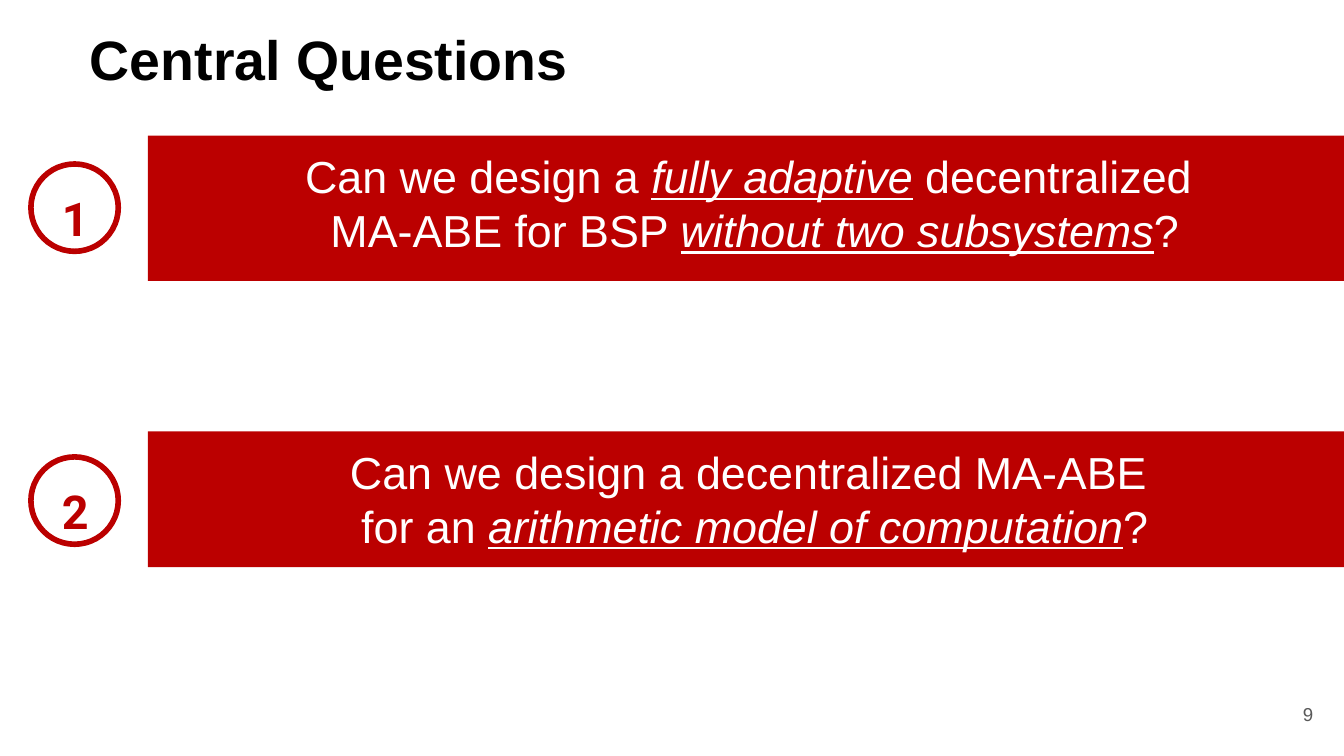
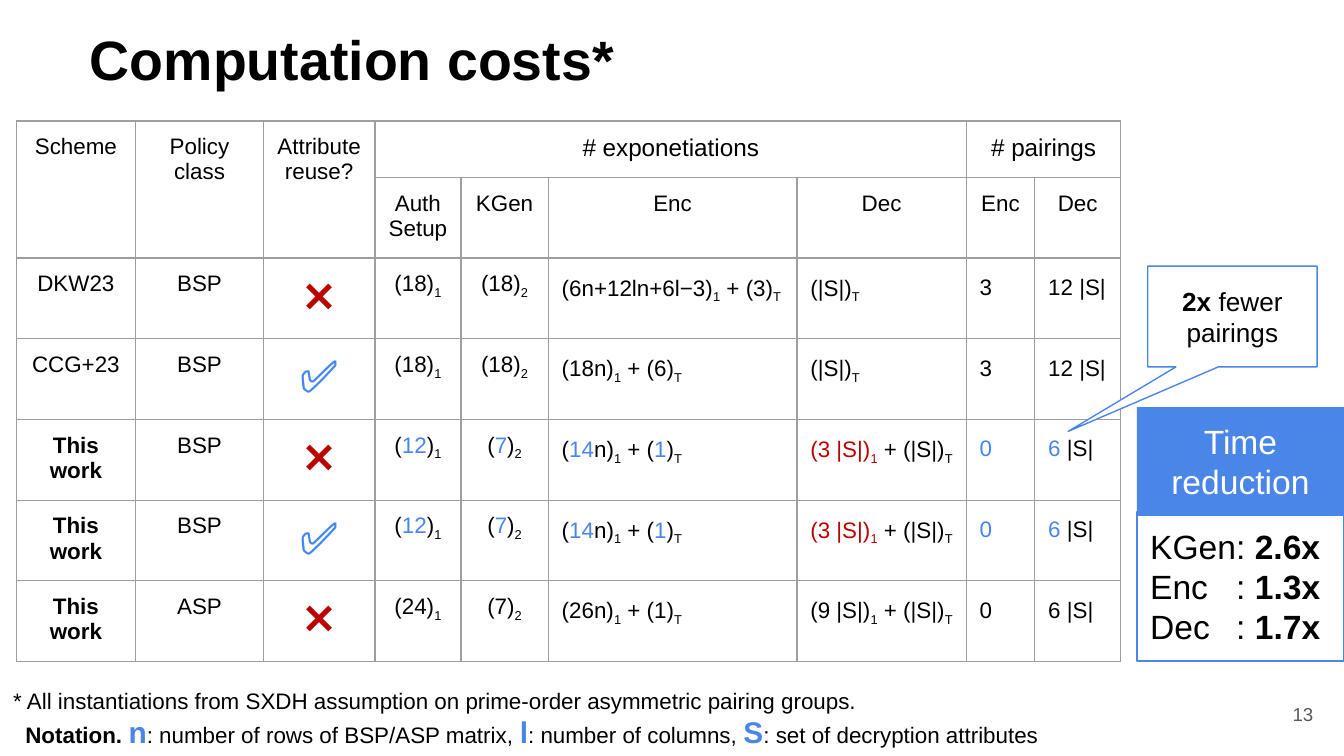
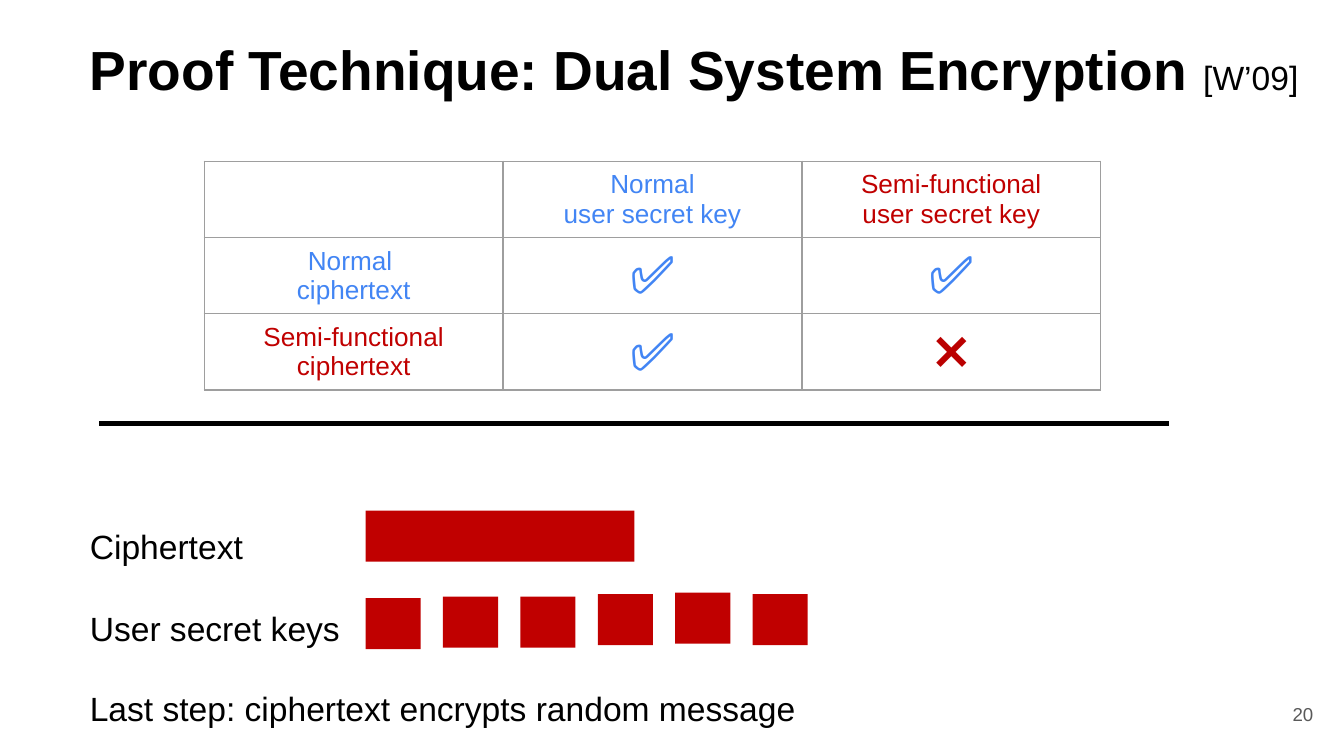
from lxml import etree
from pptx import Presentation
from pptx.dml.color import RGBColor
from pptx.enum.shapes import MSO_CONNECTOR, MSO_SHAPE
from pptx.enum.text import MSO_ANCHOR, PP_ALIGN
from pptx.oxml.ns import qn
from pptx.util import Inches, Pt

RECTANGLE, OVAL = MSO_SHAPE.RECTANGLE, MSO_SHAPE.OVAL
CALLOUT = MSO_SHAPE.RECTANGULAR_CALLOUT
STRAIGHT = MSO_CONNECTOR.STRAIGHT
TOP, MIDDLE = MSO_ANCHOR.TOP, MSO_ANCHOR.MIDDLE
LEFT, CENTER, RIGHT = PP_ALIGN.LEFT, PP_ALIGN.CENTER, PP_ALIGN.RIGHT

BLACK, WHITE, GREY, BORDER = "000000", "FFFFFF", "595959", "9E9E9E"
RED, BRICK = "BB0000", "C00000"
BLUE, SKY = "4A86E8", "4285F4"

BOLD, PLAIN = {"bold": True}, {"bold": False}
STRESS = {"italic": True, "underline": True}
CENTERED = {"alignment": CENTER}
LOOSE = {"line_spacing": 1.15}
MARGIN = Inches(0.1)


def write(frame, lines, font, layout):
    """Fill a text frame; a line is a list of strings or (string, font changes)."""
    for number, line in enumerate(lines):
        para = frame.add_paragraph() if number else frame.paragraphs[0]
        for name, value in layout.items():
            setattr(para, name, value)
        for piece in line:
            words, changes = (piece, {}) if isinstance(piece, str) else piece
            look = {"name": "Arial", "color": BLACK, **font, **changes}
            for part_number, part in enumerate(words.split("\n")):
                if part_number:
                    para.add_line_break()
                span = para.add_run()
                span.text = part
                for name, value in look.items():
                    if name == "color":
                        span.font.color.rgb = RGBColor.from_string(value)
                    elif name == "baseline":
                        span.font._element.set("baseline", str(value))
                    else:
                        setattr(span.font, name, Pt(value) if name == "size" else value)


def add_box(page, place, lines=(), font={}, layout={}, kind=None,
            fill=None, line=None, width=0.75, anchor=TOP):
    """Add a text box, or a preset shape if kind is given."""
    place = [Inches(length) for length in place]
    if kind is None:
        box = page.shapes.add_textbox(*place)
    else:
        box = page.shapes.add_shape(kind, *place)
        box.shadow.inherit = False
        if fill:
            box.fill.solid()
            box.fill.fore_color.rgb = RGBColor.from_string(fill)
        else:
            box.fill.background()
        if line:
            box.line.color.rgb = RGBColor.from_string(line)
            box.line.width = Pt(width)
        else:
            box.line.fill.background()
    frame = box.text_frame
    frame.word_wrap = True
    frame.vertical_anchor = anchor
    for side in ("left", "top", "right", "bottom"):
        setattr(frame, f"margin_{side}", MARGIN)
    write(frame, lines, font, layout)
    return box


deck = Presentation()
deck.slide_width = Inches(10)
deck.slide_height = deck.slide_width * 9 // 16

# Titles and page numbers
headings = [
    ("9", ["Central Questions"], 0.6, 29.7, {}),
    ("13", ["Computation costs*"], 0.6, 29.7, {}),
    ("20", ["Proof Technique: Dual System Encryption ",
            ("[W’09]", {"size": 18, **PLAIN})],
     0.94, 29.5, {**LOOSE, "space_after": Pt(12)}),
]
for number, title, height, size, layout in headings:
    page = deck.slides.add_slide(deck.slide_layouts[6])
    add_box(page, (9.27, 5.1, 0.6, 0.43), [[number]], {"size": 10, "color": GREY},
            {"alignment": RIGHT}, anchor=MIDDLE)
    add_box(page, (0.57, 0.09, 9.43, height), [title], {"size": size, **BOLD}, layout)
questions_page, costs_page, proof_page = deck.slides

# Central questions
questions = [
    ("1", 1.01, 1.08, 1.22,
     [["Can we design a ", ("fully adaptive", STRESS), " decentralized "],
      ["MA-ABE for BSP ", ("without two subsystems", STRESS), "?"]]),
    ("2", 3.21, 1.01, 3.4,
     [["Can we design a decentralized MA-ABE "],
      ["for an ", ("arithmetic model of computation", STRESS), "?"]]),
]
for number, band_top, band_height, ring_top, lines in questions:
    add_box(questions_page, (1.1, band_top, 9.03, band_height), lines,
            {"size": 24, "color": WHITE}, CENTERED, RECTANGLE, fill=RED)
    add_box(questions_page, (0.23, ring_top, 0.65, 0.65), kind=OVAL, line=RED, width=3)
    add_box(questions_page, (0.32, ring_top + 0.03, 0.48, 0.62), [[number]],
            {"name": "Roboto", "size": 25, "color": RED, **BOLD},
            {**CENTERED, **LOOSE, "space_after": Pt(16)})

# Computation costs
sub_1, sub_2, sub_t = [(index, {"baseline": -25000}) for index in "12T"]
cross = ("❌", {"size": 24, "color": RED, **BOLD})
check = ("✅", {"size": 24, "color": SKY, **BOLD})
this_work = ("This work", BOLD)
better = {"color": BLUE}
worse = {"color": RED}
improved = [
    ["(", ("12", better), ")", sub_1],
    ["(", ("7", better), ")", sub_2],
    ["(", ("14", better), "n)", sub_1, " + (", ("1", better), ")", sub_t],
    [("(3 |S|)", worse), ("1", {**worse, "baseline": -25000}), " + (|S|)", sub_t],
    [("0", {"color": SKY})],
    [("6", better), " |S|"],
]
earlier = [["(18)", sub_1], ["(18)", sub_2]]
earlier_end = [["(|S|)", sub_t], ["3"], ["12 |S|"]]
big = {"size": 13}
cost_rows = [
    [["Scheme"], ["Policy class"], ["Attribute reuse?"], [("# exponetiations", big)],
     [], [], [], [("# pairings", big)], []],
    [[], [], [], ["Auth\nSetup"], ["KGen"], ["Enc"], ["Dec"], ["Enc"], ["Dec"]],
    [["DKW23"], ["BSP"], [cross], *earlier,
     ["(6n+12ln+6l−3)", sub_1, " + (3)", sub_t], *earlier_end],
    [["CCG+23"], ["BSP"], [check], *earlier,
     ["(18n)", sub_1, " + (6)", sub_t], *earlier_end],
    [[this_work], ["BSP"], [cross], *improved],
    [[this_work], ["BSP"], [check], *improved],
    [[this_work], ["ASP"], [cross], ["(24)", sub_1], ["(7)", sub_2],
     ["(26n)", sub_1, " + (1)", sub_t], ["(9 |S|)", sub_1, " + (|S|)", sub_t],
     ["0"], ["6 |S|"]],
]
costs_frame = costs_page.shapes.add_table(
    7, 9, Inches(0.12), Inches(0.9), Inches(8.22), Inches(4.14))
costs = costs_frame.table
for first, last in [((0, 0), (1, 0)), ((0, 1), (1, 1)), ((0, 2), (1, 2)),
                    ((0, 3), (0, 6)), ((0, 7), (0, 8))]:
    costs.cell(*first).merge(costs.cell(*last))
for r, row in enumerate(cost_rows):
    for c, pieces in enumerate(row):
        write(costs.cell(r, c).text_frame, [pieces], {"size": 12},
              LOOSE if r > 1 and c > 4 else CENTERED)

savings = add_box(
    costs_page, (8.46, 3.81, 1.54, 1.11),
    [["KGen: ", ("2.6x", BOLD)], ["Enc\t: ", ("1.3x", BOLD)], ["Dec\t: ", ("1.7x", BOLD)]],
    {"size": 18}, {"alignment": LEFT}, RECTANGLE, line=BLUE)
for para in savings.text_frame.paragraphs[1:]:
    tabs = etree.SubElement(para._p.get_or_add_pPr(), qn("a:tabLst"))
    etree.SubElement(tabs, qn("a:tab"), pos=str(Inches(0.64)), algn="l")
add_box(costs_page, (8.46, 3.03, 1.54, 0.81), [["Time reduction"]],
        {"size": 18, "color": WHITE}, CENTERED, RECTANGLE, fill=BLUE)
callout = add_box(costs_page, (8.54, 1.98, 1.26, 0.75), [[("2x", BOLD), " fewer pairings"]],
                  {"size": 14}, CENTERED, CALLOUT, fill=WHITE, line=BLUE, anchor=MIDDLE)
callout.adjustments[0], callout.adjustments[1] = -0.97, 1.14

symbol = {"size": 16, "color": BLUE, **BOLD}
footnote = add_box(costs_page, (0, 5.01, 8.95, 0.67), [
    ["* All instantiations from SXDH assumption on prime-order asymmetric pairing groups."],
    [("Notation. ", BOLD), ("n", symbol), ": number of rows of BSP/ASP matrix, ",
     ("l", symbol), ": number of columns, ", ("S", symbol), ": set of decryption attributes"],
], {"size": 12})
footnote.text_frame.paragraphs[1]._p.get_or_add_pPr().set("marL", str(Inches(0.09)))

# Dual system encryption
for top, label, width in [(4.87, "Last step: ciphertext encrypts random message", 9.43),
                          (4.27, "User secret keys", 2.3), (3.66, "Ciphertext", 1.39)]:
    add_box(proof_page, (0.57, top, width, 0.66), [[label]], {"size": 18},
            {"line_spacing": 1.5})

divider = proof_page.shapes.add_connector(
    STRAIGHT, Inches(0.74), Inches(3.15), Inches(8.7), Inches(3.15))
divider.line.color.rgb = RGBColor.from_string(BLACK)
divider.line.width = Pt(3)
etree.SubElement(divider._element.spPr, qn("a:effectLst"))

add_box(proof_page, (2.72, 3.8, 2, 0.38), kind=RECTANGLE, fill=BRICK)
for index, top in enumerate([4.45, 4.44, 4.44, 4.42, 4.41, 4.42]):
    add_box(proof_page, (2.72 + 2.88 / 5 * index, top, 0.41, 0.38),
            kind=RECTANGLE, fill=BRICK)

normal, semi = {"color": SKY}, {"color": BRICK}
works = [[("✅", {"size": 28, "color": SKY, **BOLD})]]
fails = [[("❌", {"size": 28, "color": RED, **BOLD})]]
key_rows = [
    [[], [[("Normal", normal)], [("user secret key", normal)]],
     [[("Semi-functional", semi)], [("user secret key", semi)]]],
    [[[("Normal ", normal)], [("ciphertext", normal)]], works, works],
    [[[("Semi-functional ciphertext", semi)]], works, fails],
]
keys_frame = proof_page.shapes.add_table(
    3, 3, Inches(1.52), Inches(1.2), Inches(6.67), Inches(1.7))
keys = keys_frame.table
for r, row in enumerate(key_rows):
    for c, lines in enumerate(row):
        cell = keys.cell(r, c)
        cell.vertical_anchor = MIDDLE
        write(cell.text_frame, lines, {"size": 14}, CENTERED)

# Shared table style; rows grow to fit their text
cost_widths = [0.89, 0.95, 0.83, 0.64, 0.65, 1.85, 1.26, 0.51, 0.64]
for holder, widths, row_height, total_height, pad in [
        (costs_frame, cost_widths, 0.42, 4.14, 0.1),
        (keys_frame, [6.67 / 3] * 3, 0.41, 1.7, 0.05)]:
    table = holder.table
    table.first_row = table.horz_banding = False
    for column, width in zip(table.columns, widths):
        column.width = Inches(width)
    for row in table.rows:
        row.height = Inches(row_height)
    holder.height = Inches(total_height)
    for cell in table.iter_cells():
        cell.margin_left = cell.margin_right = MARGIN
        cell.margin_top = cell.margin_bottom = Inches(pad)
        properties = cell._tc.get_or_add_tcPr()
        for side in ("lnL", "lnR", "lnT", "lnB"):
            edge = etree.SubElement(properties, qn(f"a:{side}"), w=str(Pt(0.75)))
            paint = etree.SubElement(edge, qn("a:solidFill"))
            etree.SubElement(paint, qn("a:srgbClr"), val=BORDER)
        cell.fill.background()

deck.save("out.pptx")
